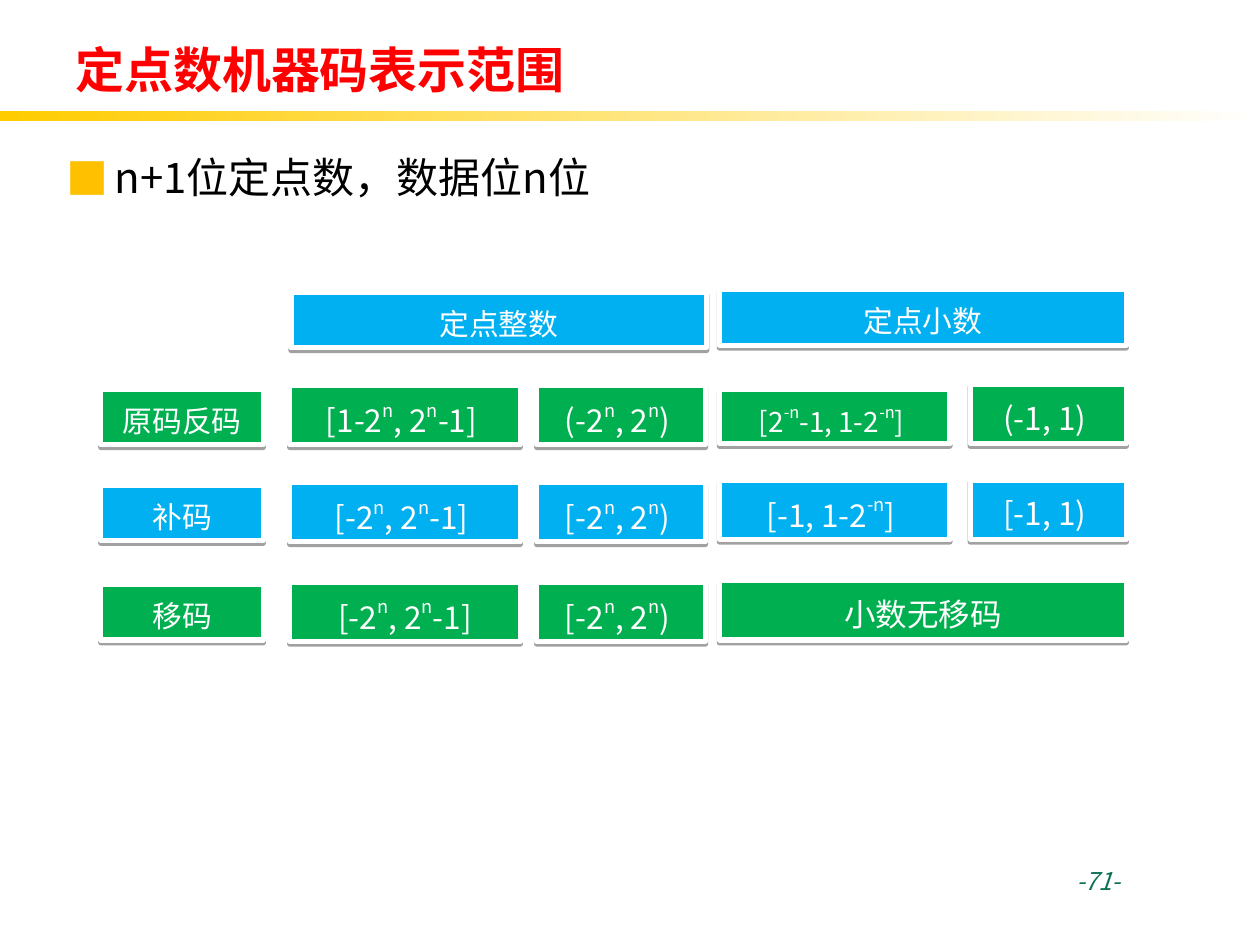
from typing import NamedTuple

from lxml.etree import SubElement
from pptx import Presentation
from pptx.dml.color import RGBColor
from pptx.enum.shapes import MSO_SHAPE
from pptx.enum.text import MSO_ANCHOR, PP_ALIGN
from pptx.oxml.ns import qn
from pptx.util import Inches, Pt

FONT = "Noto Sans CJK SC"
RED = RGBColor(0xFF, 0x00, 0x00)
BLACK = RGBColor(0x00, 0x00, 0x00)
WHITE = RGBColor(0xFF, 0xFF, 0xFF)
GOLD = RGBColor(0xFF, 0xCC, 0x00)
AMBER = RGBColor(0xFF, 0xC0, 0x00)
TEAL = RGBColor(0x0D, 0x71, 0x57)
BLUE = RGBColor(0x00, 0xB0, 0xF0)
GREEN = RGBColor(0x00, 0xB0, 0x50)


class Span(NamedTuple):
    left: float
    width: float


class Cell(NamedTuple):
    """A box of the grid; text between ^ marks is raised."""
    span: Span
    top: float
    text: str
    fill: RGBColor
    size: int = 18
    height: float = 0.47


NAME = Span(0.8, 1.29)
INT = Span(2.31, 3.3)
INT_A = Span(2.3, 1.83)
INT_B = Span(4.26, 1.34)
FRAC = Span(5.71, 3.23)
FRAC_A = Span(5.71, 1.83)
FRAC_B = Span(7.7, 1.24)

CELLS = [
    Cell(INT, 2.32, "定点整数", BLUE, 17, 0.44),
    Cell(FRAC, 2.3, "定点小数", BLUE, 17, 0.44),
    Cell(NAME, 3.09, "原码反码", GREEN, 17, 0.44),
    Cell(INT_A, 3.06, "[1-2^n^, 2^n^-1] ", GREEN),
    Cell(INT_B, 3.06, "(-2^n^, 2^n^) ", GREEN),
    Cell(FRAC_A, 3.09, "[2^-n^-1, 1-2^-n^] ", GREEN, 16, 0.43),
    Cell(FRAC_B, 3.05, "(-1, 1) ", GREEN),
    Cell(NAME, 3.85, "补码", BLUE, 17, 0.44),
    Cell(INT_A, 3.83, "[-2^n^, 2^n^-1] ", BLUE),
    Cell(INT_B, 3.83, "[-2^n^, 2^n^) ", BLUE),
    Cell(FRAC_A, 3.81, "[-1, 1-2^-n^] ", BLUE),
    Cell(FRAC_B, 3.81, "[-1, 1) ", BLUE),
    Cell(NAME, 4.64, "移码", GREEN, 17, 0.44),
    Cell(INT_A, 4.62, "[-2^n^, 2^n^-1]", GREEN),
    Cell(INT_B, 4.62, "[-2^n^, 2^n^) ", GREEN),
    Cell(FRAC, 4.61, "小数无移码", GREEN),
]


def add_run(para, text: str, size: int, color: RGBColor):
    run = para.add_run()
    run.text = text
    run.font.size = Pt(size)
    run.font.name = FONT
    run.font.color.rgb = color
    SubElement(run.font._element, qn("a:ea")).set("typeface", FONT)
    return run


def add_label(slide, left: float, top: float, width: float, height: float):
    box = slide.shapes.add_textbox(
        Inches(left), Inches(top), Inches(width), Inches(height))
    box.text_frame.word_wrap = True
    return box.text_frame


def add_bullet(para, mark: str, color: RGBColor, indent: float) -> None:
    props = para._p.get_or_add_pPr()
    props.set("marL", str(Inches(indent)))
    props.set("indent", str(-Inches(indent)))
    tint = SubElement(props, qn("a:buClr"))
    SubElement(tint, qn("a:srgbClr")).set("val", str(color))
    SubElement(props, qn("a:buFont")).set("typeface", FONT)
    SubElement(props, qn("a:buChar")).set("char", mark)


def add_shadow(shape) -> None:
    """Cast a hard, faint shadow straight down."""
    shape.shadow.inherit = False
    effects = shape._element.spPr.find(qn("a:effectLst"))
    cast = SubElement(effects, qn("a:outerShdw"), blurRad="0",
                      dist=str(Pt(1.6)), dir="5400000", rotWithShape="0")
    tint = SubElement(cast, qn("a:srgbClr"), val=str(BLACK))
    SubElement(tint, qn("a:alpha"), val="37000")


def add_cell(slide, cell: Cell) -> None:
    box = slide.shapes.add_shape(
        MSO_SHAPE.RECTANGLE, Inches(cell.span.left), Inches(cell.top),
        Inches(cell.span.width), Inches(cell.height))
    box.fill.solid()
    box.fill.fore_color.rgb = cell.fill
    box.line.color.rgb = WHITE
    box.line.width = Pt(3)
    add_shadow(box)
    frame = box.text_frame
    frame.word_wrap = True
    frame.vertical_anchor = MSO_ANCHOR.MIDDLE
    para = frame.paragraphs[0]
    para.alignment = PP_ALIGN.CENTER
    para.line_spacing = 1.2
    for index, part in enumerate(cell.text.split("^")):
        run = add_run(para, part, cell.size, WHITE)
        if index % 2:
            run.font._element.set("baseline", "50000")


def add_band(slide) -> None:
    band = slide.shapes.add_shape(
        MSO_SHAPE.RECTANGLE, 0, Inches(0.88), Inches(10), Inches(0.08))
    band.shadow.inherit = False
    band.line.fill.background()
    band.fill.gradient()
    band.fill.gradient_angle = 0
    for stop, color, place in zip(
            band.fill.gradient_stops, (GOLD, WHITE), (0, 1)):
        stop.color.rgb = color
        stop.position = place


def main() -> None:
    deck = Presentation()
    deck.slide_width, deck.slide_height = Inches(10), Inches(7.5)
    slide = deck.slides.add_slide(deck.slide_layouts[6])
    add_band(slide)

    title = add_label(slide, 0.5, 0.23, 9, 0.64)
    title.vertical_anchor = MSO_ANCHOR.MIDDLE
    run = add_run(title.paragraphs[0], "定点数机器码表示范围", 28, RED)
    run.font.bold = True

    body = add_label(slide, 0.43, 1.07, 8.99, 0.83).paragraphs[0]
    body.line_spacing = 1.2
    add_bullet(body, "■", AMBER, 0.38)
    add_run(body, "n+1位定点数，数据位n位", 24, BLACK)

    number = add_label(slide, 8.39, 6.82, 1.11, 0.52)
    number.margin_left = Inches(0.15)
    run = add_run(number.paragraphs[0], "-71-", 14, TEAL)
    run.font.italic = True

    for cell in CELLS:
        add_cell(slide, cell)
    deck.save("out.pptx")


if __name__ == "__main__":
    main()
